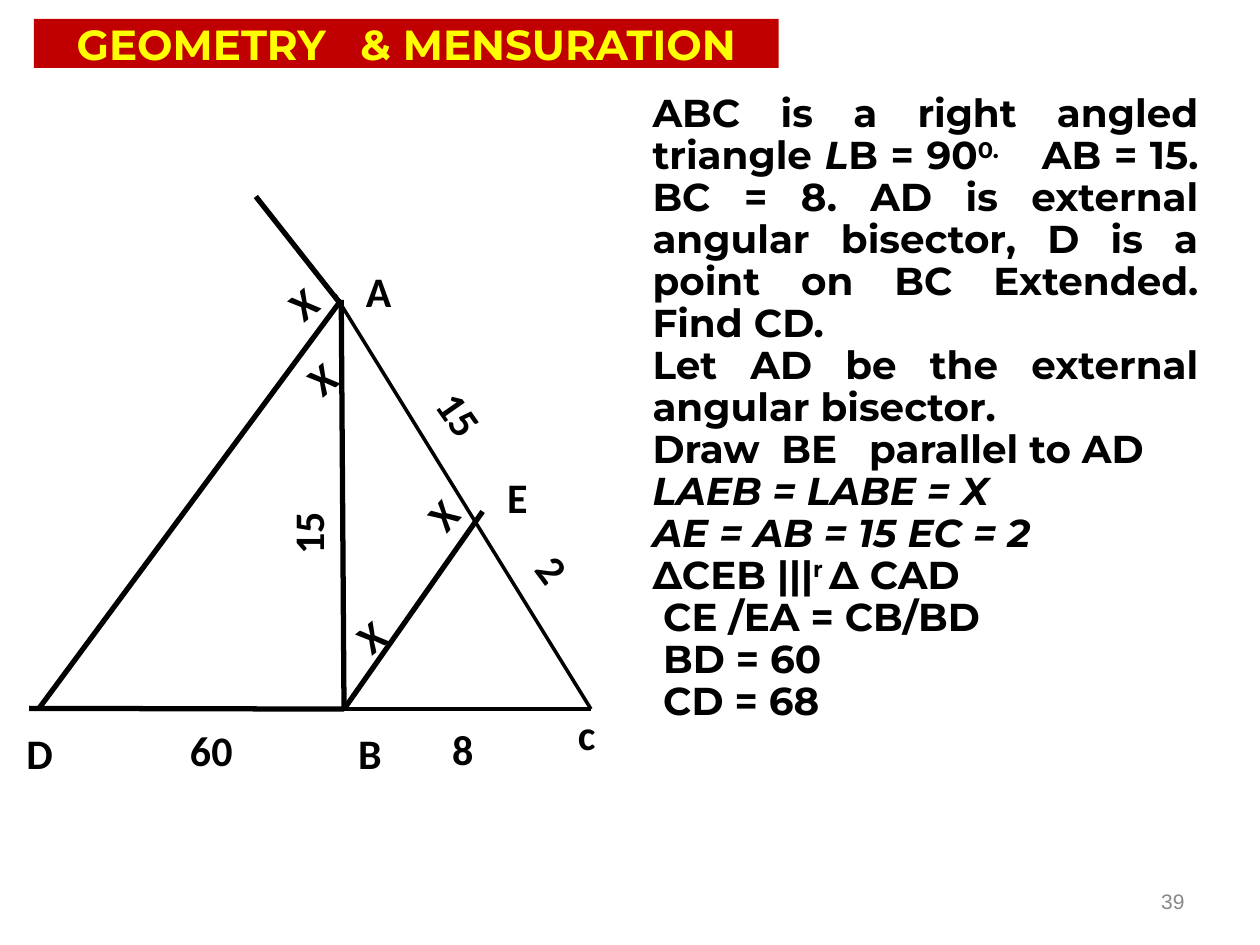
from dataclasses import dataclass

from lxml import etree
from pptx import Presentation
from pptx.dml.color import RGBColor
from pptx.enum.shapes import MSO_CONNECTOR
from pptx.enum.text import MSO_ANCHOR, MSO_AUTO_SIZE, PP_ALIGN
from pptx.oxml.ns import qn
from pptx.slide import Slide
from pptx.util import Pt

LEFT, CENTER, RIGHT, JUSTIFY = PP_ALIGN.LEFT, PP_ALIGN.CENTER, PP_ALIGN.RIGHT, PP_ALIGN.JUSTIFY
TOP, MIDDLE = MSO_ANCHOR.TOP, MSO_ANCHOR.MIDDLE
NO_FIT, FIT_SHAPE = MSO_AUTO_SIZE.NONE, MSO_AUTO_SIZE.SHAPE_TO_FIT_TEXT
STRAIGHT = MSO_CONNECTOR.STRAIGHT

COLORS = {"ink": "000000", "banner": "C00000", "title": "FFFF00", "number": "898989"}
ITALIC = {"italic": True}
RAISED = {"baseline": 30000}


def gap(points, **fmt):
    """Return a single space widened by the given number of points."""
    return (" ", {"spc": points * 100, **fmt})


@dataclass
class Sheet:
    """Hold the text style and the slide, and draw each kind of element."""

    slide: Slide
    head_font: str = "Montserrat"
    label_font: str = "Calibri"

    def paragraph(self, p, runs, font, size, color="ink", bold=True, align=LEFT, indent=0):
        """Fill a paragraph from (text, format) pairs."""
        p.alignment = align
        if indent:
            p._p.get_or_add_pPr().set("marL", str(Pt(indent)))
        for text, fmt in runs:
            r = p.add_run()
            r.text = text
            style = {"name": font, "size": Pt(size), "bold": bold, "italic": fmt.get("italic", False)}
            for key, value in style.items():
                setattr(r.font, key, value)
            r.font.color.rgb = RGBColor.from_string(COLORS[color])
            for key in ("baseline", "spc"):
                if key in fmt:
                    r._r.get_or_add_rPr().set(key, str(fmt[key]))

    def frame(self, shape, anchor=TOP, wrap=True, fit=NO_FIT):
        """Set the text frame behaviour and return the frame."""
        tf = shape.text_frame
        for key, value in {"word_wrap": wrap, "auto_size": fit, "vertical_anchor": anchor}.items():
            setattr(tf, key, value)
        return tf

    def title(self, runs, x, y, w, h):
        """Place the title placeholder as a filled banner."""
        sp = self.slide.shapes.title
        for key, value in zip(("left", "top", "width", "height"), (x, y, w, h)):
            setattr(sp, key, Pt(value))
        sp.fill.solid()
        sp.fill.fore_color.rgb = RGBColor.from_string(COLORS["banner"])
        tf = self.frame(sp, MIDDLE)
        self.paragraph(tf.paragraphs[0], runs, self.head_font, 24, "title", align=CENTER)

    def body(self, paragraphs, x, y, w, h):
        """Add the solution text from (align, indent, runs) entries."""
        tf = self.frame(self.slide.shapes.add_textbox(Pt(x), Pt(y), Pt(w), Pt(h)))
        for i, (align, indent, runs) in enumerate(paragraphs):
            p = tf.add_paragraph() if i else tf.paragraphs[0]
            p.line_spacing = 0.9
            self.paragraph(p, runs, self.head_font, 22.2, align=align, indent=indent)

    def vertex(self, text, x, y, w=39.6):
        """Add a centred vertex letter."""
        sp = self.slide.shapes.add_textbox(Pt(x), Pt(y), Pt(w), Pt(28))
        p = self.frame(sp, MIDDLE).paragraphs[0]
        self.paragraph(p, [(text, {})], self.label_font, 24, align=CENTER)

    def mark(self, text, x, y, w, rotation=0, wrap=False):
        """Add a length or angle mark, turned to follow its line."""
        sp = self.slide.shapes.add_textbox(Pt(x), Pt(y), Pt(w), Pt(36))
        sp.rotation = rotation
        p = self.frame(sp, wrap=wrap, fit=FIT_SHAPE).paragraphs[0]
        self.paragraph(p, [(text, {})], self.label_font, 24)

    def number(self, text, x, y, w, h):
        """Add the page number."""
        sp = self.slide.shapes.add_textbox(Pt(x), Pt(y), Pt(w), Pt(h))
        p = self.frame(sp, MIDDLE).paragraphs[0]
        self.paragraph(p, [(text, {})], "Arial", 12, "number", bold=False, align=RIGHT)

    def line(self, start, end, width=3):
        """Add a straight line between two points."""
        c = self.slide.shapes.add_connector(STRAIGHT, *map(Pt, start + end))
        c.line.width = Pt(width)
        c.line.color.rgb = RGBColor.from_string(COLORS["ink"])
        etree.SubElement(c._element.spPr, qn("a:effectLst"))


SOLUTION = [
    (JUSTIFY, 0, [("ABC is a right angled triangle ", {}), ("L", ITALIC), ("B = 90", {}),
                  ("0.", RAISED), gap(20, **RAISED),
                  ("AB = 15. BC = 8. AD is external angular bisector, "
                   "D is a point on BC Extended. Find CD.", {})]),
    (JUSTIFY, 0, [("Let AD be the external angular bisector.", {})]),
    (LEFT, 0, [("Draw", {}), gap(6), ("BE", {}), gap(12), ("parallel to AD", {})]),
    (LEFT, 0, [("LAEB = LABE = X", ITALIC)]),
    (LEFT, 0, [("AE = AB = 15 EC = 2", ITALIC)]),
    (LEFT, 0, [("∆CEB |||", {}), ("r ", RAISED), ("∆ CAD", {})]),
    (LEFT, 6, [("CE /EA = CB/BD", {})]),
    (LEFT, 6, [("BD = 60", {})]),
    (LEFT, 6, [("CD = 68", {})]),
]
A, B, C, D = (195, 171.4), (196.6, 405.2), (337.7, 405.2), (22.3, 404.8)
THIN_LINES = [((191.5, 168.5), C), (C, (191.5, 405.2))]
THICK_LINES = [(A, B), ((146.2, 112.3), (195, 174.2)), (B, (16.6, 404.8)), (A, D), ((275.8, 292.3), B)]
VERTICES = [("A", 196.6, 152), ("B", 191.5, 416.2), ("c", 315.4, 405.4),
            ("D", 5.8, 416.2, 33.8), ("E", 275.8, 270)]
MARKS = [
    ("8", 251.3, 409.7, 26.6), ("60", 101.5, 410.4, 38.9),
    ("2", 299.5, 313.9, 43.2, 53.4, True),
    ("15", 156.2, 286.6, 38.9, 270), ("15", 243.4, 218.9, 38.9, 54.9),
    ("X", 159.1, 155.5, 27.4, 321.1), ("X", 169.9, 198, 27.4, 321.1),
    ("X", 198, 345.6, 27.4, 321.1), ("X", 239.8, 277.9, 22.3, 312.5, True),
]


def main():
    """Build the slide and save it."""
    prs = Presentation()
    prs.slide_width, prs.slide_height = Pt(720), Pt(540)
    s = Sheet(prs.slides.add_slide(prs.slide_layouts[5]))
    s.title([("GEOMETRY", {}), gap(13), ("& MENSURATION", {})], 19.4, 10.8, 425.5, 28)
    s.body(SOLUTION, 365.8, 50.4, 326.2, 427.7)
    for start, end in THIN_LINES:
        s.line(start, end, 2)
    for start, end in THICK_LINES:
        s.line(start, end)
    for mark in MARKS:
        s.mark(*mark)
    for vertex in VERTICES:
        s.vertex(*vertex)
    s.number("39", 516.2, 500.4, 167.8, 28.8)
    prs.save("out.pptx")


if __name__ == "__main__":
    main()
